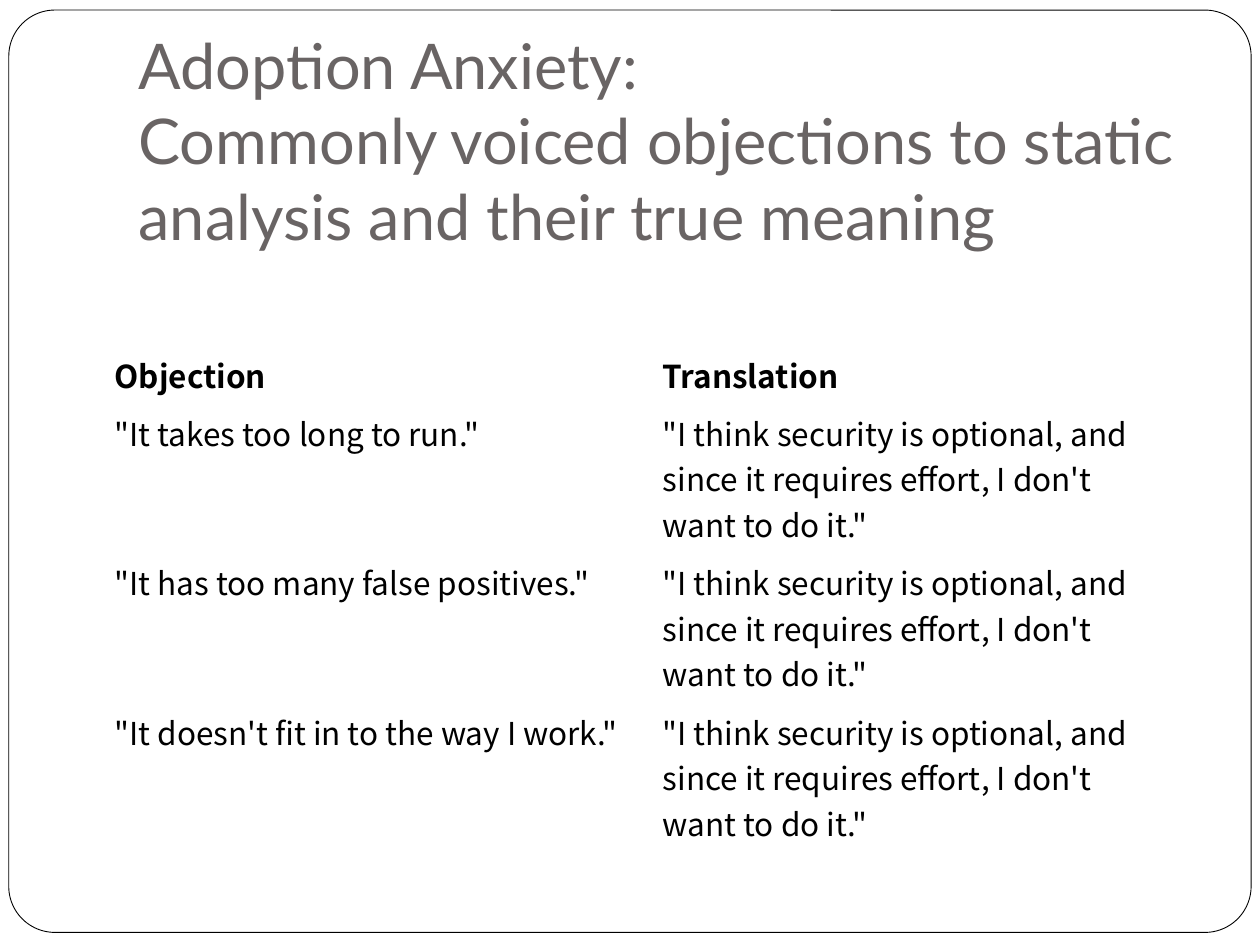
from pptx import Presentation
from pptx.dml.color import RGBColor
from pptx.enum.shapes import MSO_SHAPE as Shape
from pptx.enum.text import MSO_ANCHOR as Anchor, MSO_AUTO_SIZE as Fit, PP_ALIGN as Align
from pptx.util import Pt

SCALE = 9144
BLACK = RGBColor(0x00, 0x00, 0x00)
GRAY = RGBColor(0x69, 0x64, 0x64)
WHITE = RGBColor(0xFF, 0xFF, 0xFF)
HEAD = "Lato"
BODY = "Noto Sans CJK TC"

REPLY = "\"I think security is optional, and since it requires effort, I don't want to do it.\""
CLAIMS = [
    '"It takes too long to run."',
    '"It has too many false positives."',
    "\"It doesn't fit in to the way I work.\"",
]
ROWS = [("Objection", "Translation")] + [(claim, REPLY) for claim in CLAIMS]


def px(*nums):
    return [num * SCALE for num in nums]


class Deck:
    def __init__(self, wide, high):
        self.prs = Presentation()
        self.prs.slide_width, self.prs.slide_height = px(wide, high)
        self.slide = self.prs.slides.add_slide(self.prs.slide_layouts[5])

    def add_text(self, para, text, font, size, color, bold=False):
        para.alignment = Align.LEFT
        run = para.add_run()
        run.text = text
        run.font.name = font
        run.font.size = Pt(size)
        run.font.bold = bold
        run.font.color.rgb = color

    def pad(self, item, left, top, right, bottom):
        item.margin_left, item.margin_top, item.margin_right, item.margin_bottom = px(
            left, top, right, bottom)

    def title(self, lines, *box):
        shape = self.slide.shapes.title
        shape.left, shape.top, shape.width, shape.height = px(*box)
        frame = shape.text_frame
        frame.word_wrap = True
        frame.auto_size = Fit.NONE
        frame.vertical_anchor = Anchor.BOTTOM
        self.pad(frame, 10, 5, 10, 10)
        para = frame.paragraphs[0]
        for num, line in enumerate(lines):
            if num:
                para.add_line_break()
            self.add_text(para, line, HEAD, 36, GRAY)

    def border(self, *box):
        shape = self.slide.shapes.add_shape(Shape.ROUNDED_RECTANGLE, *px(*box))
        shape.adjustments[0] = 0.05
        shape.shadow.inherit = False
        shape.fill.solid()
        shape.fill.fore_color.rgb = WHITE
        shape.line.color.rgb = BLACK
        shape.line.width = Pt(0.5)
        self.slide.shapes.title.element.addprevious(shape.element)

    def table(self, rows, left, top, cols, highs):
        table = self.slide.shapes.add_table(
            len(rows), len(cols), *px(left, top, sum(cols), sum(highs))).table
        table.first_row = table.horz_banding = False
        for col, wide in zip(table.columns, px(*cols)):
            col.width = wide
        for row, high in zip(table.rows, px(*highs)):
            row.height = high
        for r, texts in enumerate(rows):
            for c, text in enumerate(texts):
                cell = table.cell(r, c)
                cell.fill.background()
                self.pad(cell, 5, 5, 5, 5)
                para = cell.text_frame.paragraphs[0]
                self.add_text(para, text, BODY, 18, BLACK, bold=r == 0)


def main():
    deck = Deck(1000, 750)
    deck.border(7, 8, 986, 732)
    deck.title(
        ["Adoption Anxiety: ",
         "Commonly voiced objections to static analysis and their true meaning"],
        100, 30, 850, 181)
    deck.table(ROWS, 86, 274, [435, 404], [40] + [100] * len(CLAIMS))
    deck.prs.save("out.pptx")


if __name__ == "__main__":
    main()
